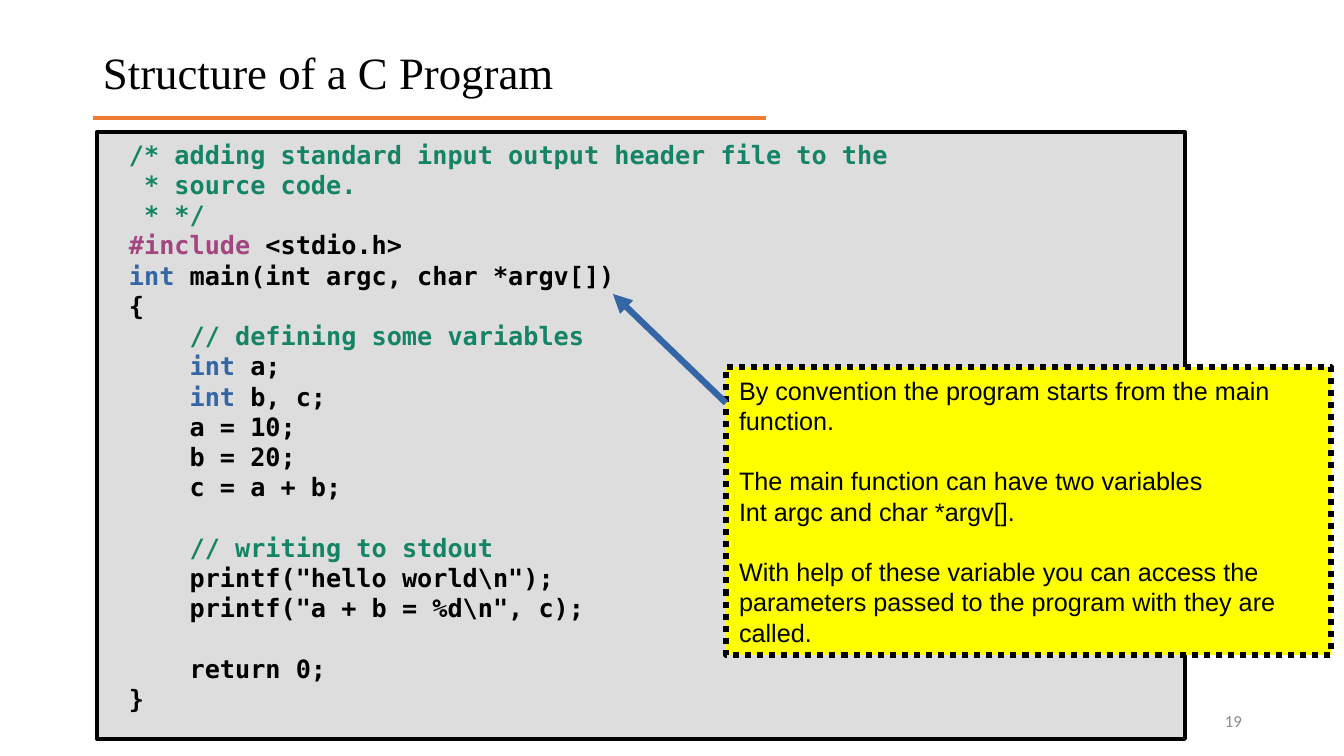
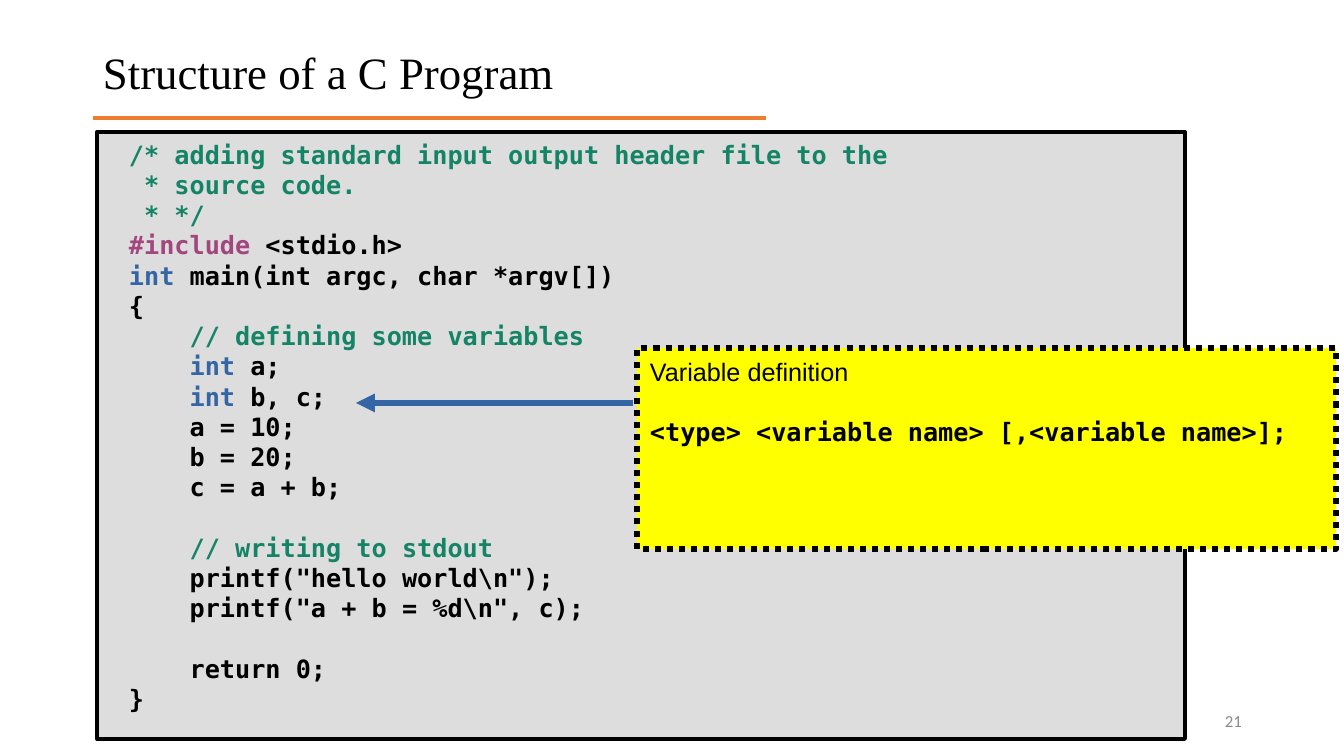
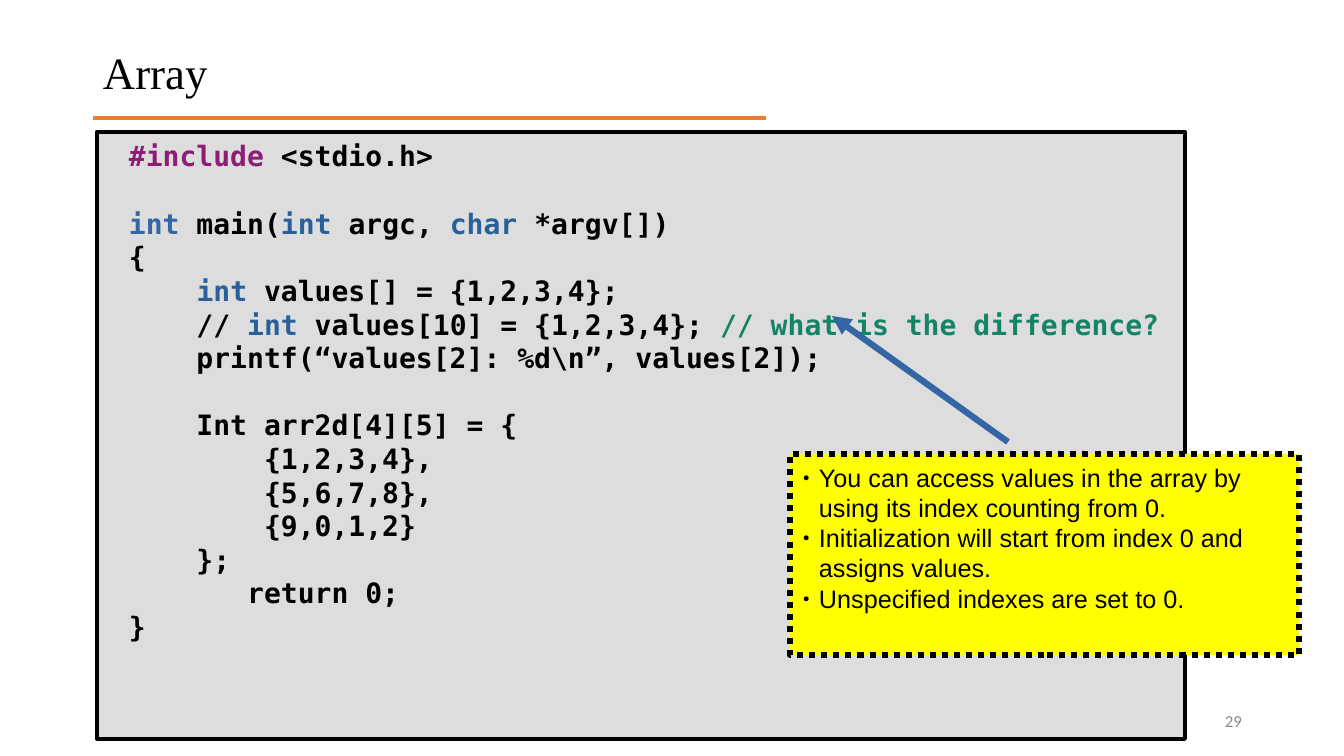
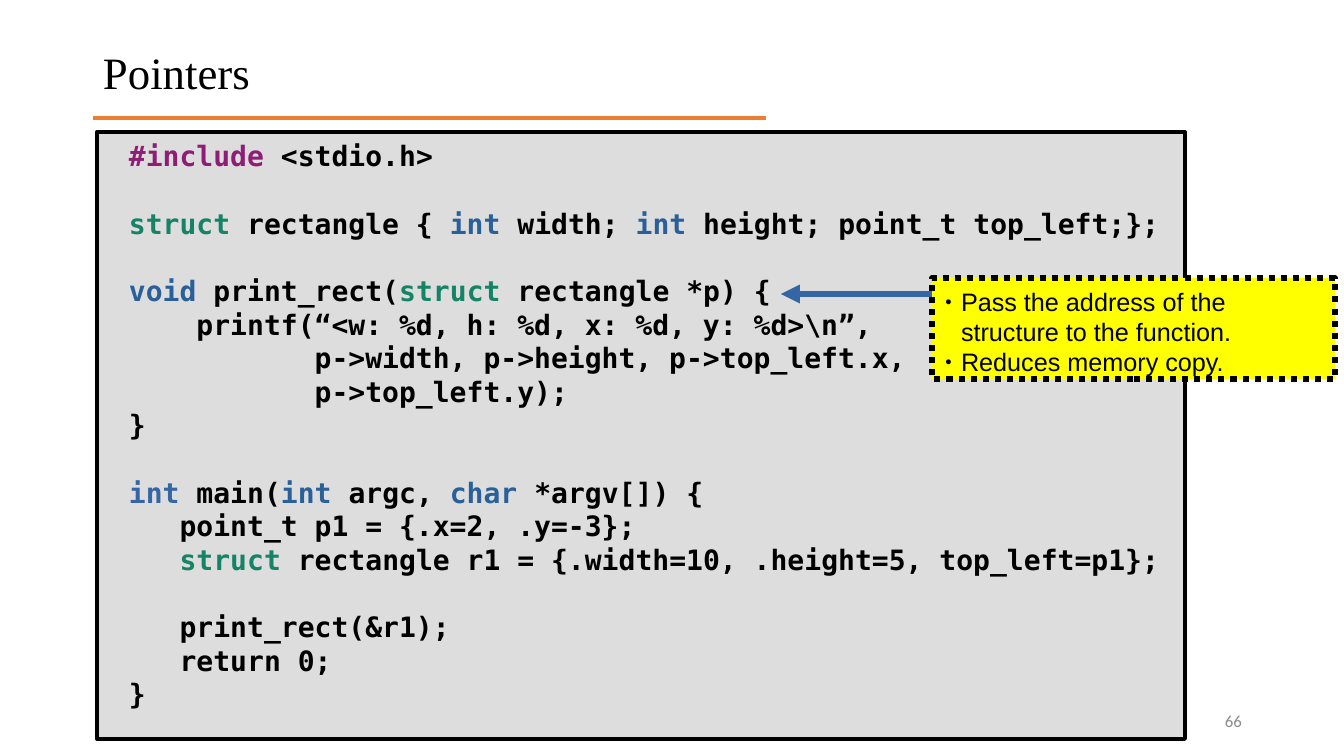
from lxml import etree
from pptx import Presentation
from pptx.dml.color import RGBColor
from pptx.enum.dml import MSO_LINE
from pptx.enum.shapes import MSO_CONNECTOR, MSO_SHAPE
from pptx.enum.text import MSO_ANCHOR, PP_ALIGN
from pptx.oxml.ns import qn
from pptx.util import Emu, Pt

RECTANGLE = MSO_SHAPE.RECTANGLE
STRAIGHT = MSO_CONNECTOR.STRAIGHT
DOTTED = MSO_LINE.ROUND_DOT
TOP, MIDDLE = MSO_ANCHOR.TOP, MSO_ANCHOR.MIDDLE
LEFT, RIGHT = PP_ALIGN.LEFT, PP_ALIGN.RIGHT

# One pixel in EMU, at 100.8 pixels to the inch
PX = 914400 / 100.8

# Colours
BLACK = RGBColor(0x00, 0x00, 0x00)
GREY = RGBColor(0x8B, 0x8B, 0x8B)
PANEL = RGBColor(0xDD, 0xDD, 0xDD)
YELLOW = RGBColor(0xFF, 0xFF, 0x00)
ORANGE = RGBColor(0xED, 0x7D, 0x31)
BLUE = RGBColor(0x34, 0x65, 0xA4)
DEEP_BLUE = RGBColor(0x2A, 0x60, 0x99)
GREEN = RGBColor(0x15, 0x84, 0x66)
PINK = RGBColor(0xA1, 0x46, 0x7E)
PURPLE = RGBColor(0x8D, 0x1D, 0x75)

# Text formats; a run may override any value of its box
MONO = {"name": "DejaVu Sans Mono", "bold": True}
TITLE = {"name": "Times New Roman", "size": Pt(32), "color": BLACK}
NUMBER = {"name": "Calibri", "size": Pt(12), "color": GREY}
NOTE = {"name": "Arial", "size": Pt(18), "color": BLACK}
COMMENT = {"color": GREEN}
TYPE = {"color": BLUE}
KEYWORD = {"color": DEEP_BLUE}

# Code: a line is a string, or a list of strings and (string, format) pairs
PROGRAM_CODE = [
    [("/* adding standard input output header file to the", COMMENT)],
    [(" * source code.", COMMENT)],
    [(" * */", COMMENT)],
    [("#include ", {"color": PINK}), "<stdio.h>"],
    [("int", TYPE), " main(int argc, char *argv[])"],
    "{",
    ["    ", ("// defining some variables", COMMENT)],
    ["    ", ("int", TYPE), " a;"],
    ["    ", ("int", TYPE), " b, c;"],
    "    a = 10;",
    "    b = 20;",
    "    c = a + b;",
    "",
    [("    // writing to stdout", COMMENT)],
    '    printf("hello world\\n");',
    '    printf("a + b = %d\\n", c);',
    "",
    "    return 0;",
    "}",
]
INCLUDE = [("#include", {"color": PURPLE}), " <stdio.h>"]
MAIN = [("int", TYPE), " main(", ("int", KEYWORD), " argc, ", ("char", KEYWORD)]
ARRAY_CODE = [
    INCLUDE,
    "",
    MAIN + [" *argv[])"],
    "{",
    ["    ", ("int", KEYWORD), " values[] = {1,2,3,4};"],
    ["    // ", ("int", KEYWORD), " values[10] = {1,2,3,4}; ",
     ("// what is the difference?", COMMENT)],
    "    printf(“values[2]: %d\\n”, values[2]);",
    "",
    "    Int arr2d[4][5] = {",
    "        {1,2,3,4},",
    "        {5,6,7,8},",
    "        {9,0,1,2}",
    "    };",
    "       return 0;",
    "}",
]
POINTER_CODE = [
    INCLUDE,
    "",
    [("struct", COMMENT), " rectangle { ", ("int", KEYWORD), " width; ",
     ("int", KEYWORD), " height; point_t top_left;};"],
    "",
    [("void", KEYWORD), " print_rect(", ("struct", COMMENT), " rectangle *p) {"],
    "    printf(“<w: %d, h: %d, x: %d, y: %d>\\n”,",
    "           p->width, p->height, p->top_left.x,",
    "           p->top_left.y);",
    "}",
    "",
    MAIN + [" *argv[]) {"],
    "   point_t p1 = {.x=2, .y=-3};",
    ["   ", ("struct", COMMENT),
     " rectangle r1 = {.width=10, .height=5, top_left=p1};"],
    "",
    "   print_rect(&r1);",
    "   return 0;",
    "}",
]

# Slides: the note box is left, top, width, height; the arrow is from, to
SLIDES = [
    {"title": "Structure of a C Program", "number": 19,
     "code": PROGRAM_CODE, "code_size": 18,
     "note_box": (726, 367, 605, 288), "arrow": (726, 403, 613, 294),
     "bullets": False,
     "note": [
         "By convention the program starts from the main function.",
         "",
         "The main function can have two variables",
         "Int argc and char *argv[].",
         "",
         "With help of these variable you can access the parameters "
         "passed to the program with they are called."]},
    {"title": "Structure of a C Program", "number": 21,
     "code": PROGRAM_CODE, "code_size": 18,
     "note_box": (637, 348, 699, 201), "arrow": (633, 403, 356, 403),
     "bullets": False,
     "note": [
         "Variable definition",
         "",
         [("<type> <variable name> [,<variable name>];", MONO)]]},
    {"title": "Array", "number": 29,
     "code": ARRAY_CODE, "code_size": 20,
     "note_box": (790, 454, 509, 201), "arrow": (1008, 442, 832, 316),
     "bullets": True,
     "note": [
         "You can access values in the array by using its index counting from 0.",
         "Initialization will start from index 0 and assigns values.",
         "Unspecified indexes are set to 0."]},
    {"title": "Pointers", "number": 66,
     "code": POINTER_CODE, "code_size": 20,
     "note_box": (932, 278, 403, 101), "arrow": (932, 294, 781, 294),
     "bullets": True,
     "note": [
         "Pass the address of the structure to the function.",
         "Reduces memory copy."]},
]


def px(*lengths):
    return [Emu(round(length * PX)) for length in lengths]


def write_text(shape, lines, base, insets, anchor=TOP, align=LEFT, spacing=None):
    """Write lines into a shape; an empty line becomes space before the next."""
    frame = shape.text_frame
    frame.word_wrap = True
    frame.vertical_anchor = anchor
    frame.margin_left, frame.margin_top = px(*insets)
    frame.margin_right, frame.margin_bottom = px(*insets)
    paragraph, gap = None, False
    for line in lines:
        if not line:
            gap = True
            continue
        paragraph = frame.add_paragraph() if paragraph else frame.paragraphs[0]
        paragraph.alignment = align
        paragraph.line_spacing = spacing or Pt(base["size"].pt * 1.2)
        if gap:
            paragraph.space_before = paragraph.line_spacing
            gap = False
        for part in [line] if isinstance(line, str) else line:
            text, changes = (part, {}) if isinstance(part, str) else part
            run = paragraph.add_run()
            run.text = text
            for key, value in {**base, **changes}.items():
                if key == "color":
                    run.font.color.rgb = value
                else:
                    setattr(run.font, key, value)


presentation = Presentation()
presentation.slide_width, presentation.slide_height = px(1344, 756)
blank_layout = presentation.slide_layouts[6]

for content in SLIDES:
    slide = presentation.slides.add_slide(blank_layout)
    shapes = slide.shapes

    # Title
    title = shapes.add_textbox(*px(93, 2, 1159, 146))
    write_text(title, [content["title"]], TITLE, (10, 5), MIDDLE, spacing=0.9)

    # Code panel and note
    code_panel = shapes.add_shape(RECTANGLE, *px(97, 132, 1088, 607))
    note = shapes.add_shape(RECTANGLE, *px(*content["note_box"]))
    for box, fill, width in ((code_panel, PANEL, 2.89), (note, YELLOW, 4.31)):
        box.shadow.inherit = False
        box.fill.solid()
        box.fill.fore_color.rgb = fill
        box.line.color.rgb = BLACK
        box.line.width = Pt(width)
    note.line.dash_style = DOTTED

    code_format = {**MONO, "size": Pt(content["code_size"]), "color": BLACK}
    write_text(code_panel, content["code"], code_format, (12, 7))
    for paragraph in code_panel.text_frame.paragraphs:
        paragraph._p.get_or_add_pPr().set("marL", str(px(20)[0]))

    write_text(note, content["note"], NOTE, (13, 8))
    if content["bullets"]:
        for paragraph in note.text_frame.paragraphs:
            properties = paragraph._p.get_or_add_pPr()
            properties.set("marL", str(px(16)[0]))
            properties.set("indent", str(px(-16)[0]))
            for tag, key, value in (("a:buSzPct", "val", "45000"),
                                    ("a:buFont", "typeface", "Arial"),
                                    ("a:buChar", "char", "●")):
                etree.SubElement(properties, qn(tag)).set(key, value)

    # Title rule and arrow from the note to the code
    rule = shapes.add_connector(STRAIGHT, *px(93, 118, 766, 118))
    arrow = shapes.add_connector(STRAIGHT, *px(*content["arrow"]))
    for line, color, width in ((rule, ORANGE, 3), (arrow, BLUE, 4.5)):
        line.line.color.rgb = color
        line.line.width = Pt(width)
        etree.SubElement(line._element.spPr, qn("a:effectLst"))
    etree.SubElement(arrow.line._get_or_add_ln(), qn("a:tailEnd")).set("type", "triangle")

    # Slide number
    number = shapes.add_textbox(*px(950, 701, 302, 40))
    write_text(number, [str(content["number"])], NUMBER, (10, 5), MIDDLE, RIGHT, 1.0)

presentation.save("out.pptx")
